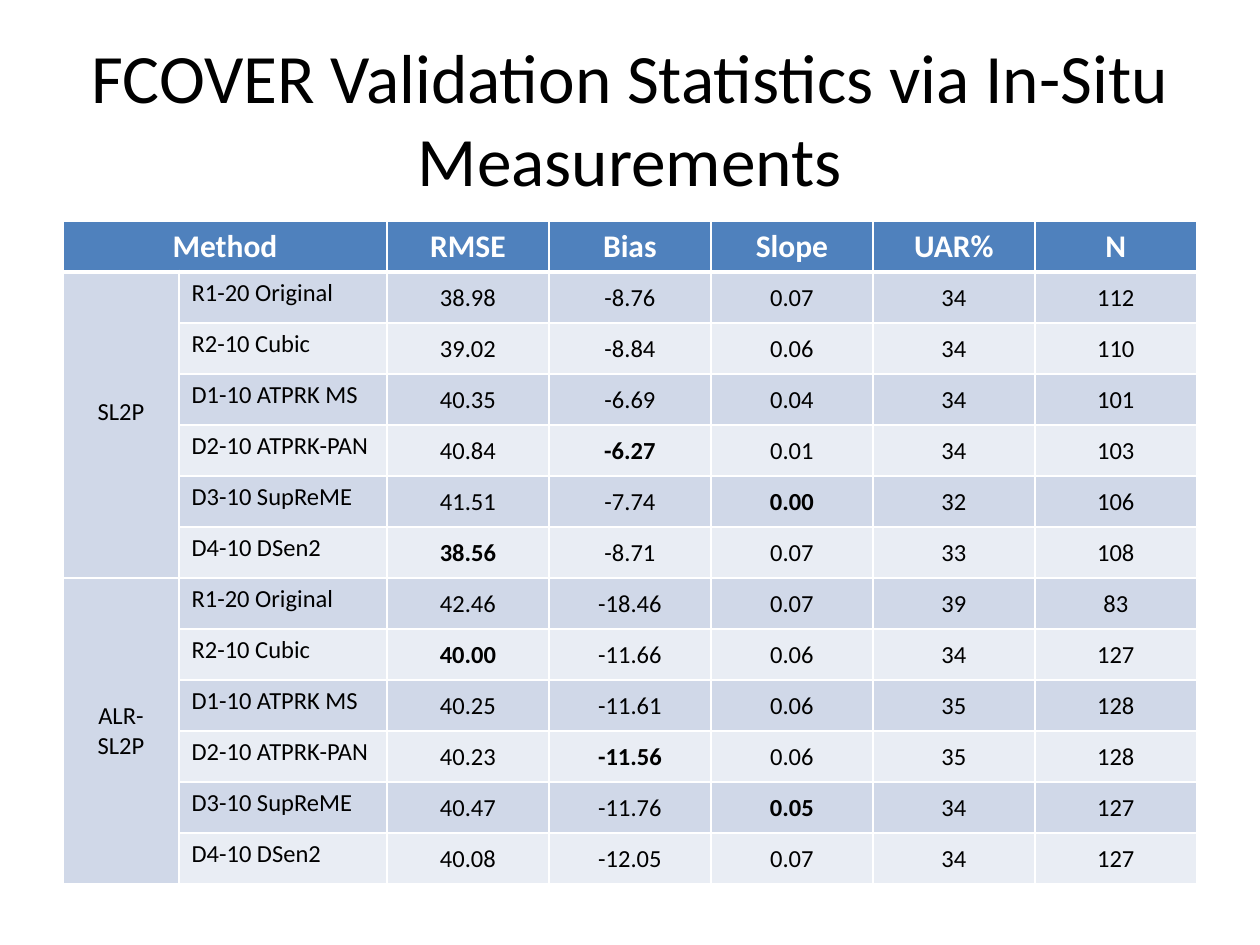
import pptx
import pptx.dml.color
import pptx.enum.text
import pptx.oxml
import pptx.oxml.ns
import pptx.util

COLORS = {
    "title": "000000",
    "body": "000000",
    "header_text": "FFFFFF",
    "header": "4F81BD",
    "dark_band": "D0D8E8",
    "light_band": "E9EDF4",
    "border": "FFFFFF",
}
ALIGN = pptx.enum.text.PP_ALIGN
ANCHOR = pptx.enum.text.MSO_ANCHOR


def px(length):
    return pptx.util.Emu(round(length * 914400 / 126))


def write(frame, text, size, color, bold=False, align=ALIGN.CENTER):
    paragraph = frame.paragraphs[0]
    paragraph.alignment = align
    run = paragraph.add_run()
    run.text = text
    run.font.name = "Calibri"
    run.font.size = pptx.util.Pt(size)
    run.font.bold = bold
    run.font.color.rgb = pptx.dml.color.RGBColor.from_string(COLORS[color])


headers = ["Method", "", "RMSE", "Bias", "Slope", "UAR%", "N"]
products = ["R1-20 Original", "R2-10 Cubic", "D1-10 ATPRK MS",
            "D2-10 ATPRK-PAN", "D3-10 SupReME", "D4-10 DSen2"]
statistics = {
    "SL2P": [
        ["38.98", "-8.76", "0.07", "34", "112"],
        ["39.02", "-8.84", "0.06", "34", "110"],
        ["40.35", "-6.69", "0.04", "34", "101"],
        ["40.84", "-6.27", "0.01", "34", "103"],
        ["41.51", "-7.74", "0.00", "32", "106"],
        ["38.56", "-8.71", "0.07", "33", "108"],
    ],
    "ALR-SL2P": [
        ["42.46", "-18.46", "0.07", "39", "83"],
        ["40.00", "-11.66", "0.06", "34", "127"],
        ["40.25", "-11.61", "0.06", "35", "128"],
        ["40.23", "-11.56", "0.06", "35", "128"],
        ["40.47", "-11.76", "0.05", "34", "127"],
        ["40.08", "-12.05", "0.07", "34", "127"],
    ],
}
best_values = {"38.56", "-6.27", "0.00", "40.00", "-11.56", "0.05"}
method_bottom_margins = {"SL2P": 32, "ALR-SL2P": 6}
column_widths = [116, 208] + [162] * 5
row_height = 51
row_count = 1 + len(statistics) * len(products)

presentation = pptx.Presentation()
presentation.slide_width = px(1260)
presentation.slide_height = px(945)
slide = presentation.slides.add_slide(presentation.slide_layouts[6])

title = slide.shapes.add_textbox(px(63), px(38), px(1134), px(158))
title.text_frame.word_wrap = True
title.text_frame.vertical_anchor = ANCHOR.MIDDLE
write(title.text_frame, "FCOVER Validation Statistics via In-Situ Measurements", 39.6, "title")

table = slide.shapes.add_table(
    row_count, len(column_widths), px(63), px(221),
    px(sum(column_widths)), px(row_height * row_count)).table
for column, width in zip(table.columns, column_widths):
    column.width = px(width)
for row in table.rows:
    row.height = px(row_height)

for row_index in range(row_count):
    for column_index in range(len(column_widths)):
        cell = table.cell(row_index, column_index)
        if row_index == 0:
            fill = "header"
        elif column_index == 0 or row_index % 2:
            fill = "dark_band"
        else:
            fill = "light_band"
        cell.fill.solid()
        cell.fill.fore_color.rgb = pptx.dml.color.RGBColor.from_string(COLORS[fill])
        header_edge = {0: "lnB", 1: "lnT"}.get(row_index)
        for position, edge in enumerate(["lnL", "lnR", "lnT", "lnB"]):
            width = pptx.util.Pt(3 if edge == header_edge else 1)
            line = pptx.oxml.parse_xml(
                f'<a:{edge} {pptx.oxml.ns.nsdecls("a")} w="{width}"><a:solidFill>'
                f'<a:srgbClr val="{COLORS["border"]}"/></a:solidFill></a:{edge}>')
            cell._tc.get_or_add_tcPr().insert(position, line)

table.cell(0, 0).merge(table.cell(0, 1))
for column_index, header in enumerate(headers):
    if header:
        write(table.cell(0, column_index).text_frame, header, 18, "header_text", True)

for method_index, (method, rows) in enumerate(statistics.items()):
    first_row = 1 + method_index * len(products)
    method_cell = table.cell(first_row, 0)
    method_cell.merge(table.cell(first_row + len(products) - 1, 0))
    method_cell.vertical_anchor = ANCHOR.MIDDLE
    method_cell.margin_bottom = px(method_bottom_margins[method])
    write(method_cell.text_frame, method, 14, "body")
    for row_index, (product, values) in enumerate(zip(products, rows), first_row):
        write(table.cell(row_index, 1).text_frame, product, 14, "body", align=ALIGN.LEFT)
        for column_index, value in enumerate(values, 2):
            cell = table.cell(row_index, column_index)
            cell.vertical_anchor = ANCHOR.MIDDLE
            cell.margin_left = cell.margin_right = cell.margin_top = px(1)
            cell.margin_bottom = px(0)
            write(cell.text_frame, value, 14, "body", value in best_values)

presentation.save("out.pptx")
